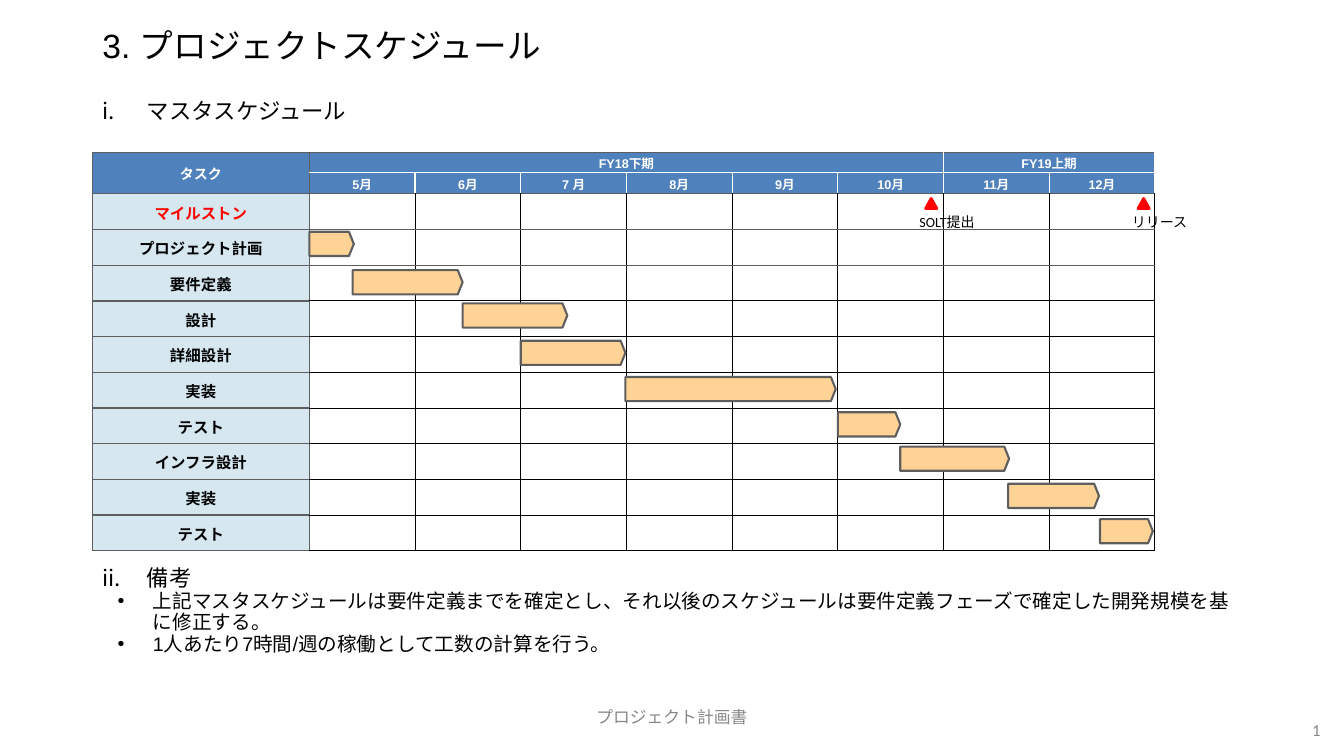
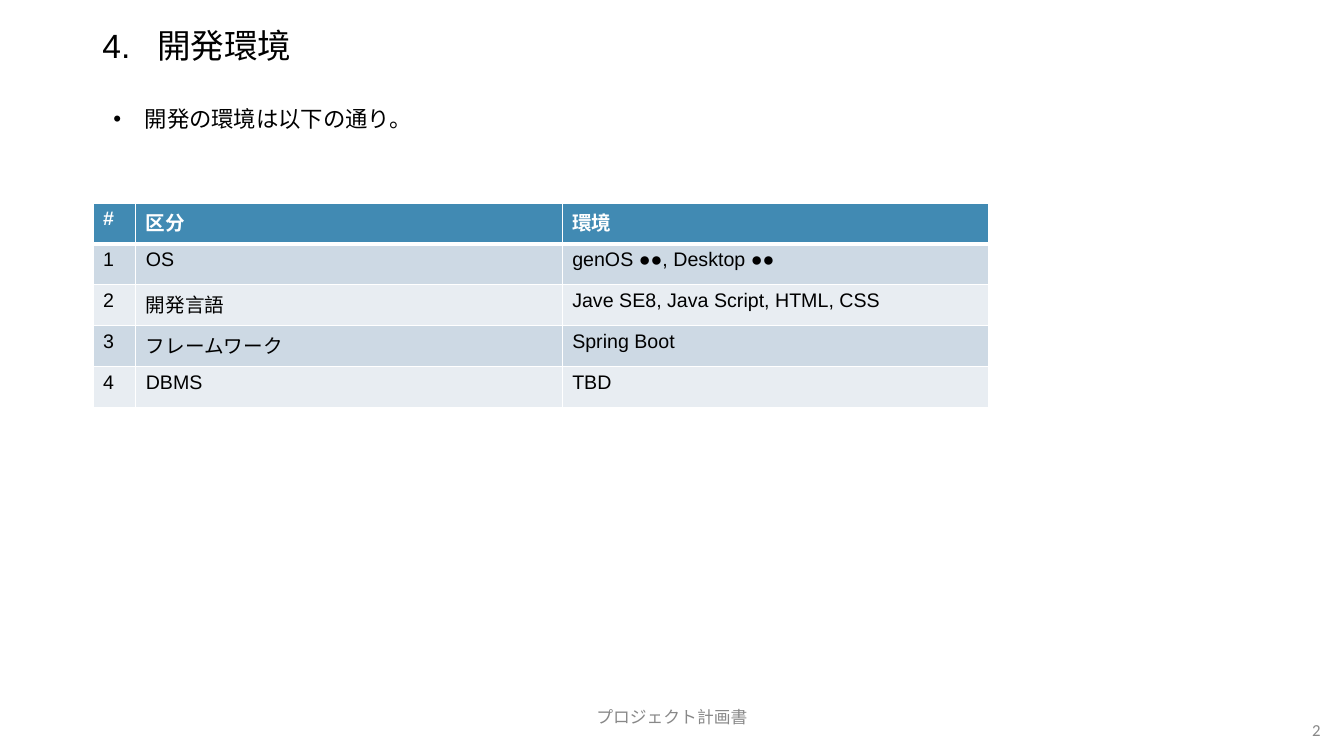
"""Builds the schedule and environment slides of a project plan."""
from lxml import etree
from pptx import Presentation
from pptx.dml import color
from pptx.enum import shapes, text
from pptx.oxml import ns
from pptx.util import Pt

BLACK, WHITE, GRAY, RED = "000000", "FFFFFF", "5E5E5E", "FF0000"
HEADER_BLUE, TASK_BLUE = "4F81BD", "D6E7F0"
BAR_ORANGE, FOOTER_GRAY = "FFD395", "888888"
ENV_HEADER, ENV_BANDS = "418AB3", ("CDD9E4", "E8EDF2")

LEFT, CENTER, RIGHT = (text.PP_ALIGN.LEFT, text.PP_ALIGN.CENTER,
                       text.PP_ALIGN.RIGHT)
TOP, MIDDLE = text.MSO_ANCHOR.TOP, text.MSO_ANCHOR.MIDDLE

TITLE_BOX = (66, 10, 828, 48)
FOOTER_BOX = (318, 497.5, 324, 29)
NUMBER_BOX = (885.6, 507, 64.8, 29)

TITLE = {"size": 24, "name": "Arial", "color": BLACK, "bold": False}
HEADING = dict(TITLE, size=16)
NOTE = dict(TITLE, size=14)
FOOTER = dict(TITLE, size=12, name="Calibri", color=FOOTER_GRAY)
LABEL = dict(FOOTER, size=10, color=BLACK)

MONTHS = ["5月", "6月", "7 月", "8月", "9月", "10月", "11月", "12月"]
HALVES = [("FY18下期", 1, 6), ("FY19上期", 7, 8)]
# Task, then start and length in months and the bar's drop below the row top.
TASKS = [
    ("プロジェクト計画", 0, 0.42, 2.3),
    ("要件定義", 0.41, 1.04, 4.2),
    ("設計", 1.45, 0.99, 2.4),
    ("詳細設計", 2, 0.99, 3.6),
    ("実装", 2.99, 1.99, 4),
    ("テスト", 5, 0.59, 3.7),
    ("インフラ設計", 5.59, 1.03, 2.7),
    ("実装", 6.61, 0.86, 3.8),
    ("テスト", 7.48, 0.5, 3.5),
]
MILESTONES = [("SOLT提出", 5.83), ("リリース", 7.84)]
ENVIRONMENT = [
    ("#", "区分", "環境"),
    ("1", "OS", "genOS ●●, Desktop ●●"),
    ("2", "開発言語", "Jave SE8, Java Script, HTML, CSS"),
    ("3", "フレームワーク", "Spring Boot"),
    ("4", "DBMS", "TBD"),
]


def rgb(value):
    """Turn a hex string into a colour."""
    return color.RGBColor.from_string(value)


def points(box):
    """Turn a box of numbers into lengths."""
    return [Pt(value) for value in box]


def style(font, look):
    """Apply a dict of format values to a font."""
    for key, value in look.items():
        if key == "color":
            font.color.rgb = rgb(value)
        else:
            setattr(font, key, Pt(value) if key == "size" else value)


def write(para, words, look, align=LEFT, **spacing):
    """Put one formatted run into a paragraph."""
    para.alignment = align
    for key, value in spacing.items():
        setattr(para, key, value)
    span = para.add_run()
    span.text = words
    style(span.font, look)


def indent(para, margin, hang):
    """Give a paragraph a left margin and a hanging first line."""
    props = para._p.get_or_add_pPr()
    props.set("marL", str(Pt(margin)))
    props.set("indent", str(-Pt(hang)))
    return props


def bullet(para, margin, hang, roman=None):
    """Add a dot, or a roman number when one is given."""
    props = indent(para, margin, hang)
    hue = etree.SubElement(props, ns.qn("a:buClr"))
    etree.SubElement(hue, ns.qn("a:srgbClr"), val=BLACK)
    etree.SubElement(props, ns.qn("a:buFont"), typeface="Arial")
    if roman:
        etree.SubElement(props, ns.qn("a:buAutoNum"), type="romanLcPeriod",
                         startAt=str(roman))
    else:
        etree.SubElement(props, ns.qn("a:buChar"), char="•")


def place(holder, box, anchor=TOP):
    """Move a text shape and return its prepared frame."""
    holder.left, holder.top, holder.width, holder.height = points(box)
    frame = holder.text_frame
    settings = {"word_wrap": True, "auto_size": text.MSO_AUTO_SIZE.NONE,
                "vertical_anchor": anchor}
    for key, value in settings.items():
        setattr(frame, key, value)
    return frame


def text_box(page, box, words, look, align=LEFT, anchor=TOP):
    """Add a one-line text box and return its paragraph."""
    frame = place(page.shapes.add_textbox(*points(box)), box, anchor)
    write(frame.paragraphs[0], words, look, align)
    return frame.paragraphs[0]


def start_page(deck, layout, title, number):
    """Add a slide with its title, footer and page number."""
    page = deck.slides.add_slide(deck.slide_layouts[layout])
    para = place(page.shapes.title, TITLE_BOX, MIDDLE).paragraphs[0]
    write(para, title, TITLE, line_spacing=0.9)
    indent(para, 39, 39) if "\t" in title else None
    text_box(page, FOOTER_BOX, "プロジェクト計画書", FOOTER, CENTER, MIDDLE)
    para = text_box(page, NUMBER_BOX, str(number), FOOTER, RIGHT, MIDDLE)
    run = para.runs[0]._r
    run.tag = ns.qn("a:fld")
    run.set("id", "{B6F15528-21DE-4FAA-801E-634DDDAF4B2B}")
    run.set("type", "slidenum")
    return page


def heading(para, words, roman):
    """Write a section heading with a roman number."""
    write(para, words, HEADING, line_spacing=0.9, space_before=Pt(10))
    bullet(para, 31.7, 31.7, roman)


def notes(para, words, look, margin, hang):
    """Write one dotted line."""
    write(para, words, look, line_spacing=0.9, space_before=Pt(0))
    bullet(para, margin, hang)


def paint(cell, fill, edges):
    """Fill a cell and draw its left, right, top and bottom edges."""
    cell.fill.solid()
    cell.fill.fore_color.rgb = rgb(fill)
    props = cell._tc.get_or_add_tcPr()
    for index, (side, (hue, width)) in enumerate(zip("LRTB", edges)):
        line = etree.Element(ns.qn("a:ln" + side), w=str(Pt(width)))
        solid = etree.SubElement(line, ns.qn("a:solidFill"))
        etree.SubElement(solid, ns.qn("a:srgbClr"), val=hue)
        props.insert(index, line)


def add_grid(page, left, top, widths, heights):
    """Add a table with the given column widths and row heights."""
    box = points((left, top, sum(widths), sum(heights)))
    table = page.shapes.add_table(len(heights), len(widths), *box).table
    for column, width in zip(table.columns, widths):
        column.width = Pt(width)
    for row, height in zip(table.rows, heights):
        row.height = Pt(height)
    return table


def schedule_edges(row, col, last):
    """Give the edges of one schedule cell."""
    dark, pale, thin = (GRAY, 1), (WHITE, 1), (BLACK, 0.75)
    if col == 0:
        return [dark] * 4
    if row < 2:
        return [dark if col == 1 else pale,
                dark if col == last and row == 0 else pale,
                (dark, pale)[row], (pale, dark)[row]]
    return [dark if col == 1 else thin, thin,
            dark if row < 5 else thin, dark if row < 4 else thin]


def solid_shape(page, kind, box, fill, line, width):
    """Add a flat preset shape."""
    shape = page.shapes.add_shape(kind, *points(box))
    shape.shadow.inherit = False
    shape.fill.solid()
    shape.fill.fore_color.rgb = rgb(fill)
    shape.line.color.rgb = rgb(line)
    shape.line.width = Pt(width)
    return shape


def schedule_table(page, left, top, widths, heights):
    """Draw the month grid with its header and task names."""
    table = add_grid(page, left, top, widths, heights)
    names = ["マイルストン"] + [task[0] for task in TASKS]
    words = {(0, 0): "タスク"}
    words.update({(0, first): half for half, first, _ in HALVES})
    words.update({(1, col): month for col, month in enumerate(MONTHS, 1)})
    words.update({(row, 0): name for row, name in enumerate(names, 2)})
    for row in range(len(heights)):
        for col in range(len(widths)):
            cell = table.cell(row, col)
            fill = (HEADER_BLUE if row < 2
                    else TASK_BLUE if col == 0 else WHITE)
            paint(cell, fill, schedule_edges(row, col, len(MONTHS)))
            settings = {"margin_left": Pt(0.7), "margin_right": Pt(0.7),
                        "margin_top": Pt(0.7), "margin_bottom": 0,
                        "vertical_anchor": MIDDLE}
            for key, value in settings.items():
                setattr(cell, key, value)
            if (row, col) in words:
                size = 11 if row > 1 else 10 if col == 0 else 9
                hue = WHITE if row < 2 else RED if row == 2 else BLACK
                look = dict(TITLE, size=size, color=hue, bold=True)
                write(cell.text_frame.paragraphs[0], words[row, col], look,
                      CENTER)
    table.cell(0, 0).merge(table.cell(1, 0))
    for _, first, final in HALVES:
        table.cell(0, first).merge(table.cell(0, final))


def gantt(page, left, top):
    """Draw the schedule table, task bars and milestones."""
    task_width, month, header, row = 155, 75.5, 14.4, 25.5
    schedule_table(page, left, top, [task_width] + [month] * len(MONTHS),
                   [header] * 2 + [row] * (len(TASKS) + 1))
    origin, first_row = left + task_width, top + 2 * header
    for index, (_, start, length, drop) in enumerate(TASKS, 1):
        box = (origin + start * month, first_row + index * row + drop,
               length * month, 17.3)
        bar = solid_shape(page, shapes.MSO_SHAPE.PENTAGON, box,
                          BAR_ORANGE, GRAY, 1.5)
        bar.adjustments[0] = 0.2
    for name, start in MILESTONES:
        x, y = origin + start * month, first_row + 4
        solid_shape(page, shapes.MSO_SHAPE.ISOSCELES_TRIANGLE,
                    (x, y, 8, 7.2), RED, RED, 2)
        text_box(page, (x - 11.5, y + 7.5, 63, 19.4), name, LABEL)


def schedule_page(deck):
    """Build the master schedule slide."""
    page = start_page(deck, 3, "3. プロジェクトスケジュール", 5)
    upper, lower = list(page.placeholders)[1:3]
    heading(place(upper, (66, 67.7, 828, 41)).paragraphs[0],
            "マスタスケジュール", 1)
    gantt(page, 66, 109)
    frame = place(lower, (66, 401.8, 828, 95.8))
    heading(frame.paragraphs[0], "備考", 2)
    for words in ("上記マスタスケジュールは要件定義までを確定とし、それ以後の"
                  "スケジュールは要件定義フェーズで確定した開発規模を基に修正する。",
                  "1人あたり7時間/週の稼働として工数の計算を行う。"):
        notes(frame.add_paragraph(), words, NOTE, 36, 25.2)


def environment_table(page, left, top):
    """Draw the banded table of tools."""
    table = add_grid(page, left, top, [30.6, 304.6, 304.6],
                     [29.2] * len(ENVIRONMENT))
    for row, entries in enumerate(ENVIRONMENT):
        for col, words in enumerate(entries):
            cell = table.cell(row, col)
            fill = ENV_BANDS[(row - 1) % 2] if row else ENV_HEADER
            paint(cell, fill, [(WHITE, 1)] * 2 + [
                (WHITE, 3 if row == 1 else 1), (WHITE, 1 if row else 3)])
            look = dict(NOTE, color=BLACK if row else WHITE, bold=not row)
            write(cell.text_frame.paragraphs[0], words, look)


def environment_page(deck):
    """Build the development environment slide."""
    page = start_page(deck, 1, "4.\t開発環境", 6)
    frame = place(page.placeholders[1], (66, 73.4, 828, 412.6))
    notes(frame.paragraphs[0], "開発の環境は以下の通り。", HEADING, 30.2, 22.3)
    environment_table(page, 66.4, 145)


deck = Presentation()
deck.slide_width, deck.slide_height = Pt(960), Pt(540)
schedule_page(deck)
environment_page(deck)
deck.save("out.pptx")
